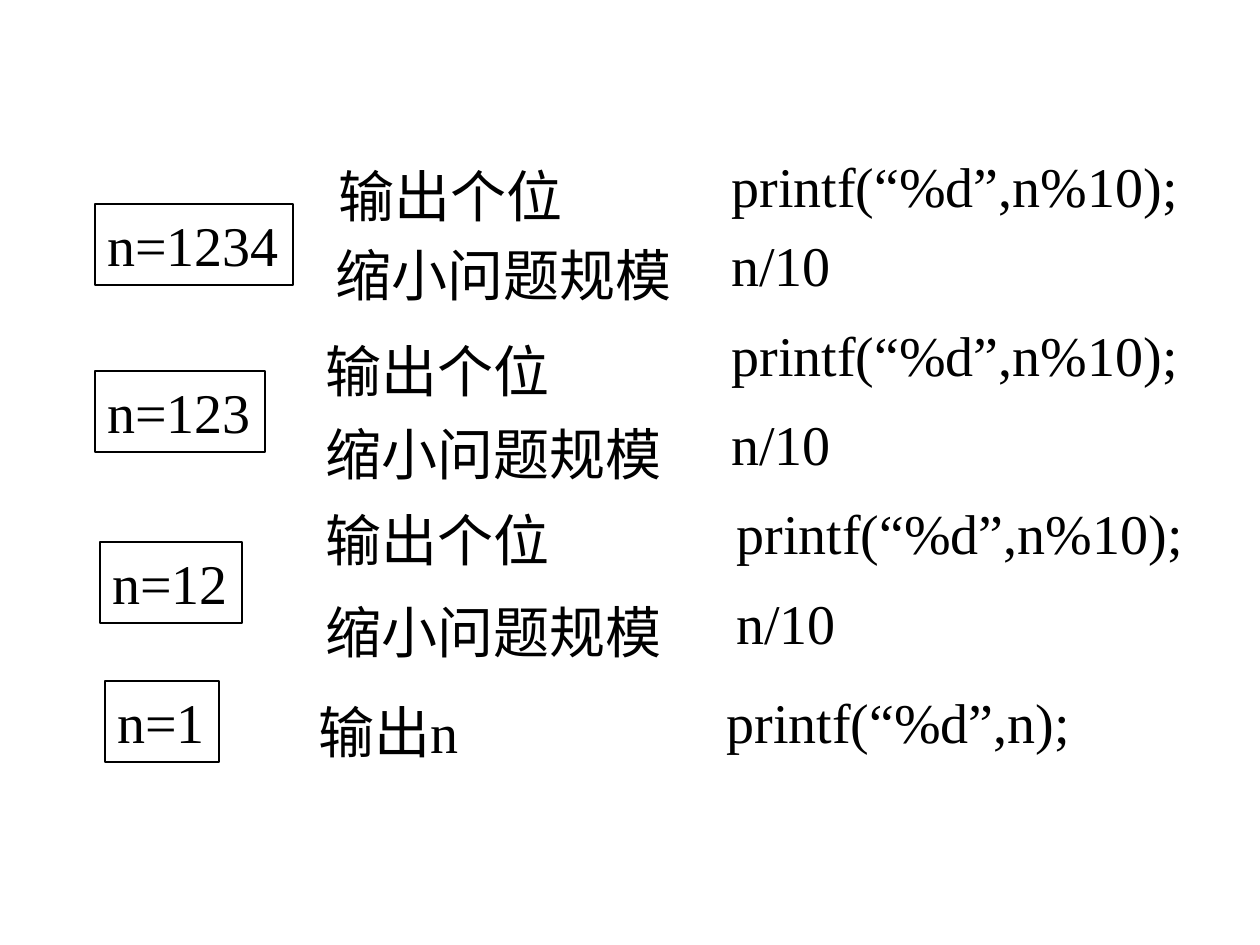
from dataclasses import dataclass

import pptx
import pptx.dml.color
import pptx.enum.shapes
import pptx.enum.text
import pptx.util

PX_PER_INCH = 126
BLACK = "000000"
ROW_HEIGHT = 81
FONT_FORMAT = {"name": "Times New Roman", "size": pptx.util.Pt(32)}
FRAME_FORMAT = {
    "word_wrap": False,
    "auto_size": pptx.enum.text.MSO_AUTO_SIZE.SHAPE_TO_FIT_TEXT,
    "vertical_anchor": pptx.enum.text.MSO_ANCHOR.TOP,
}

PRINT_DIGIT = "输出个位"
SHRINK = "缩小问题规模"
PRINT_CODE = "printf(“%d”,n%10);"
SHRINK_CODE = "n/10"


@dataclass
class Label:
    text: str
    left: int
    top: int
    width: int


@dataclass
class Stage:
    """One value of n, with its actions and the code for each."""
    value: Label
    steps: list[Label]


def px(length: int) -> int:
    return round(length * pptx.util.Inches(1) / PX_PER_INCH)


def color(hex_code: str) -> pptx.dml.color.RGBColor:
    return pptx.dml.color.RGBColor.from_string(hex_code)


def write_text(shape, text: str) -> None:
    frame = shape.text_frame
    for name, setting in FRAME_FORMAT.items():
        setattr(frame, name, setting)
    paragraph = frame.paragraphs[0]
    paragraph.alignment = pptx.enum.text.PP_ALIGN.LEFT
    run = paragraph.add_run()
    run.text = text
    for name, setting in FONT_FORMAT.items():
        setattr(run.font, name, setting)
    run.font.color.rgb = color(BLACK)


def draw_label(slide, label: Label) -> None:
    box = slide.shapes.add_textbox(
        px(label.left), px(label.top), px(label.width), px(ROW_HEIGHT))
    write_text(box, label.text)


def draw_value(slide, label: Label) -> None:
    box = slide.shapes.add_shape(
        pptx.enum.shapes.MSO_SHAPE.RECTANGLE,
        px(label.left), px(label.top), px(label.width), px(ROW_HEIGHT))
    box.shadow.inherit = False
    box.fill.background()
    box.line.color.rgb = color(BLACK)
    box.line.width = pptx.util.Pt(1)
    write_text(box, label.text)


def draw_stage(slide, stage: Stage) -> None:
    draw_value(slide, stage.value)
    for step in stage.steps:
        draw_label(slide, step)


# Recursion stages, from the full number down to its last digit
STAGES = [
    Stage(Label("n=1234", 95, 204, 198), [
        Label(" " + PRINT_DIGIT, 314, 155, 277),
        Label(PRINT_CODE, 719, 145, 474),
        Label(SHRINK, 323, 234, 376),
        Label(SHRINK_CODE, 719, 224, 127),
    ]),
    Stage(Label("n=123", 95, 371, 170), [
        Label(PRINT_DIGIT, 313, 330, 252),
        Label(PRINT_CODE, 719, 314, 474),
        Label(SHRINK, 313, 413, 376),
        Label(SHRINK_CODE, 719, 403, 127),
    ]),
    Stage(Label("n=12", 100, 542, 142), [
        Label(PRINT_DIGIT, 313, 499, 252),
        Label(PRINT_CODE, 724, 492, 474),
        Label(SHRINK, 313, 591, 376),
        Label(SHRINK_CODE, 724, 582, 127),
    ]),
    Stage(Label("n=1", 105, 681, 114), [
        Label("输出n", 306, 691, 195),
        Label("printf(“%d”,n);", 714, 681, 371),
    ]),
]


def main() -> None:
    deck = pptx.Presentation()
    deck.slide_width = pptx.util.Inches(10)
    deck.slide_height = pptx.util.Inches(7.5)
    slide = deck.slides.add_slide(deck.slide_layouts[6])
    for stage in STAGES:
        draw_stage(slide, stage)
    deck.save("out.pptx")


if __name__ == "__main__":
    main()
